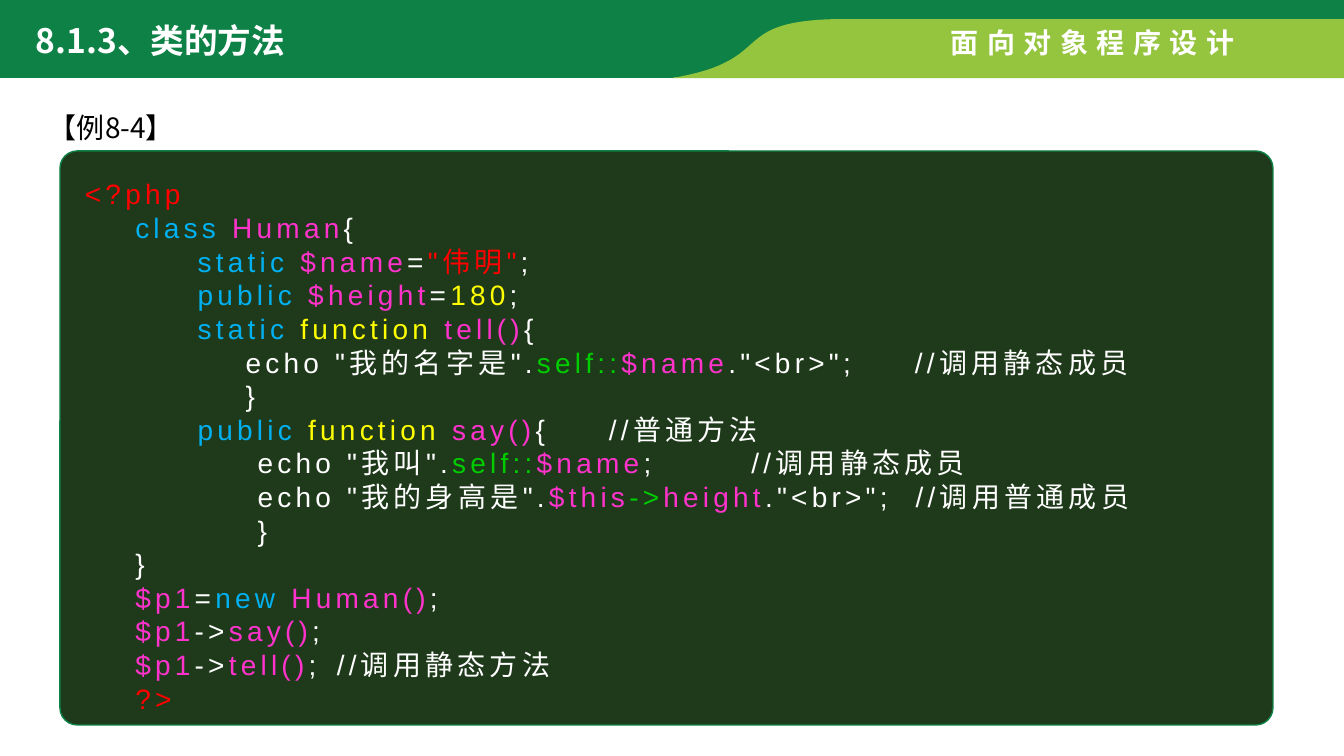
from dataclasses import dataclass

from lxml import etree
from pptx import Presentation
from pptx import util as u
from pptx.dml.color import RGBColor
from pptx.enum import shapes, text
from pptx.oxml.ns import qn

PX = 12192000 / 1344  # EMU in one px
INDENT = 0.5  # inches per code level


@dataclass(frozen=True)
class Theme:
    green: str = "0E8146"
    lime: str = "95C53E"
    panel: str = "1E3A1A"
    white: str = "FFFFFF"
    black: str = "000000"
    red: str = "FF0000"
    blue: str = "00B0F0"
    pink: str = "FF33CC"
    yellow: str = "FFFF00"
    member: str = "00CC00"
    latin: str = "Arial"
    cjk: str = "Noto Sans CJK SC"
    title: int = 24
    body: int = 20
    code_line: int = 24


T = Theme()

# Code as (level, [(text, colour), ...])
CODE = [
    (0, [("<?php", T.red)]),
    (1, [("class ", T.blue), ("Human", T.pink), ("{", T.white)]),
    (2, [(" static ", T.blue), ("$name", T.pink), ("=", T.white),
         ('"伟明"', T.red), (";", T.white)]),
    (2, [(" public ", T.blue), ("$height", T.pink), ("=", T.white),
         ("180", T.yellow), (";", T.white)]),
    (2, [(" static ", T.blue), ("function ", T.yellow), ("tell()", T.pink),
         ("{", T.white)]),
    (2, [('     echo "我的名字是".', T.white), ("self::", T.member),
         ("$name", T.pink), ('."<br>";     //调用静态成员', T.white)]),
    (2, [("     }", T.white)]),
    (2, [(" public ", T.blue), ("function ", T.yellow), ("say()", T.pink),
         ("{     //普通方法", T.white)]),
    (2, [('      echo "我叫".', T.white), ("self::", T.member),
         ("$name", T.pink), (";        //调用静态成员", T.white)]),
    (2, [('      echo "我的身高是".', T.white), ("$this", T.pink),
         ("->", T.member), ("height", T.pink),
         ('."<br>";  //调用普通成员', T.white)]),
    (2, [("      }", T.white)]),
    (1, [("}", T.white)]),
    (1, [("$p1", T.pink), ("=", T.white), ("new ", T.blue),
         ("Human()", T.pink), (";", T.white)]),
    (1, [("$p1", T.pink), ("->", T.white), ("say()", T.pink), (";", T.white)]),
    (1, [("$p1", T.pink), ("->", T.white), ("tell()", T.pink),
         (";\t//调用静态方法", T.white)]),
    (1, [("?>", T.red)]),
]


def px(n):
    return u.Emu(round(n * PX))


def curve(p0, p1, p2, p3, steps=32):
    """Points along a cubic Bezier, start included."""
    points = []
    for i in range(steps + 1):
        t = i / steps
        weights = ((1 - t) ** 3, 3 * t * (1 - t) ** 2, 3 * t * t * (1 - t), t ** 3)
        points.append(tuple(sum(w * p[axis] for w, p in zip(weights, (p0, p1, p2, p3)))
                            for axis in (0, 1)))
    return points


def paint(sp, fill, line=None):
    sp.shadow.inherit = False
    sp.fill.solid()
    sp.fill.fore_color.rgb = RGBColor.from_string(fill)
    if line:
        sp.line.color.rgb = RGBColor.from_string(line)
        sp.line.width = u.Pt(1)
    else:
        sp.line.fill.background()


def add_outline(s, points, fill):
    points = [(px(x), px(y)) for x, y in points]
    builder = s.shapes.build_freeform(*points[0])
    builder.add_line_segments(points[1:], close=True)
    paint(builder.convert_to_shape(), fill)


def add_run(p, words, color, size=T.body, font=T.latin, bold=False, spacing=0):
    r = p.add_run()
    r.text = words
    r.font.size = u.Pt(size)
    r.font.bold = bold
    r.font.name = font
    r.font.color.rgb = RGBColor.from_string(color)
    rPr = r._r.get_or_add_rPr()
    rPr.set("spc", str(spacing * 100))
    etree.SubElement(rPr, qn("a:ea")).set("typeface", T.cjk)


def add_box(s, x, y, w, h, wrap=True):
    tf = s.shapes.add_textbox(px(x), px(y), px(w), px(h)).text_frame
    tf.word_wrap = wrap
    return tf


def add_text(s, words, x, y, w, h, wrap=True, align=None, line_spacing=None, **style):
    p = add_box(s, x, y, w, h, wrap).paragraphs[0]
    p.alignment = align
    p.line_spacing = line_spacing
    add_run(p, words, **style)


def add_code(s, lines, x, y, w, h):
    tf = add_box(s, x, y, w, h)
    for i, (level, tokens) in enumerate(lines):
        p = tf.paragraphs[0] if i == 0 else tf.add_paragraph()
        p.level = level
        p.line_spacing = u.Pt(T.code_line)
        pPr = p._p.get_or_add_pPr()
        pPr.set("marL", str(u.Inches(level * INDENT)))
        pPr.set("indent", "0")
        for words, color in tokens:
            add_run(p, words, color, spacing=3)


def main():
    prs = Presentation()
    prs.slide_width, prs.slide_height = px(1344), px(756)
    s = prs.slides.add_slide(prs.slide_layouts[6])

    # Header bands
    add_outline(s, [(0, -3), (1344, -3), (1344, 24), (834, 24)]
                + curve((815, 28), (733, 44), (776, 78), (660, 78))
                + [(0, 78)], T.green)
    add_outline(s, [(1344, 19), (1344, 78)]
                + curve((672, 78), (781, 60), (723, 19), (846, 19)), T.lime)

    # Headings
    add_text(s, "面向对象程序设计", 941, 21, 314, 44, wrap=False,
             color=T.white, bold=True, spacing=6)
    add_text(s, "8.1.3、类的方法", 26, 15, 512, 50,
             color=T.white, size=T.title, font=T.cjk, bold=True)
    add_text(s, "【例8-4】", 39, 89, 244, 53, align=text.PP_ALIGN.JUSTIFY,
             line_spacing=1.5, color=T.black, font=T.cjk)

    # Code panel
    panel = s.shapes.add_shape(shapes.MSO_SHAPE.ROUNDED_RECTANGLE,
                               px(60), px(151), px(1213), px(574))
    panel.adjustments[0] = 0.03
    paint(panel, T.panel, T.green)
    add_code(s, CODE, 75, 172, 1103, 553)

    prs.save("out.pptx")


if __name__ == "__main__":
    main()
